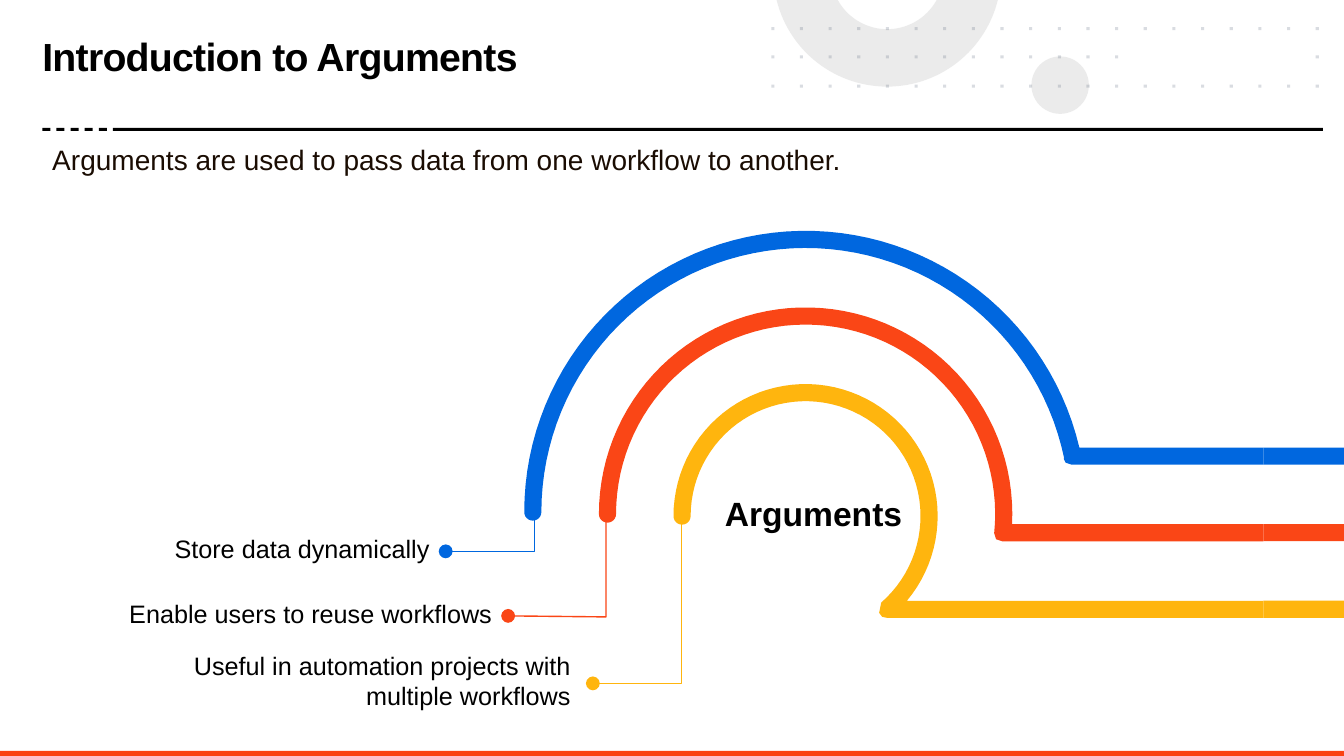
"""Build the "Introduction to Arguments" slide."""
from math import asin, atan2, cos, degrees, radians, sin

from lxml.etree import SubElement
from pptx import Presentation
from pptx.dml.color import RGBColor
from pptx.enum.shapes import MSO_SHAPE as Preset
from pptx.enum.text import PP_ALIGN as Align
from pptx.oxml.ns import qn
from pptx.util import Pt

PX = 9144
WIDTH, HEIGHT = 1333, 750
BLACK = RGBColor(0x00, 0x00, 0x00)
BROWN = RGBColor(0x1A, 0x0C, 0x02)
GRAY = RGBColor(0xD9, 0xD9, 0xD9)
SLATE = RGBColor(0x44, 0x54, 0x6A)
BLUE = RGBColor(0x00, 0x67, 0xDF)
RED = RGBColor(0xFA, 0x46, 0x16)
YELLOW = RGBColor(0xFF, 0xB5, 0x0E)
FOOTER_RED = RGBColor(0xFA, 0x42, 0x11)

presentation = Presentation()
presentation.slide_width = WIDTH * PX
presentation.slide_height = HEIGHT * PX
slide = presentation.slides.add_slide(presentation.slide_layouts[6])
shapes = slide.shapes


def arc(x, y, radius, start, end, steps=60):
    """Return points along an arc, with angles in degrees clockwise from the right."""
    angles = [radians(start + (end - start) * i / steps) for i in range(steps + 1)]
    return [(x + radius * cos(a), y + radius * sin(a)) for a in angles]


def outline(contours, closed=True):
    """Draw one freeform from lists of points in px."""
    contours = [[(round(x * PX), round(y * PX)) for x, y in points] for points in contours]
    builder = shapes.build_freeform(*contours[0][0], scale=1.0)
    for number, points in enumerate(contours):
        if number:
            builder.move_to(*points[0])
        builder.add_line_segments(points[1:], close=closed)
    shape = builder.convert_to_shape()
    shape.shadow.inherit = False
    return shape


disk = shapes.add_shape(Preset.OVAL, 1023 * PX, 56 * PX, 57 * PX, 57 * PX)
disk.shadow.inherit = False
ring_points = []
for radius, direction in [(113, 1), (56, -1)]:
    edge = degrees(asin(27 / radius))
    ring_points += arc(880, -27, radius, edge, 180 - edge)[::direction]
faded = [(disk, GRAY, 50), (outline([ring_points]), GRAY, 50)]

DOT, DOT_PITCH = 3, 28.42
for first, last in [(14, 20), (0, 6), (6, 12), (12, 14)]:
    dots = []
    for row, y in enumerate([27, 55, 84]):
        for column in range(first, last):
            if row == 1 and 13 <= column <= 18:
                continue
            x = 765 + column * DOT_PITCH
            dots.append([(x, y), (x + DOT, y), (x + DOT, y + DOT), (x, y + DOT)])
    faded.append((outline(dots), SLATE, 20))

for shape, color, opacity in faded:
    shape.fill.solid()
    shape.fill.fore_color.rgb = color
    shape.line.fill.background()
    color_element = shape.fill._xPr.find(qn("a:solidFill"))[0]
    SubElement(color_element, qn("a:alpha")).set("val", str(opacity * 1000))

leaders = [
    ([(442, 547), (530, 547), (530, 493)], BLUE),
    ([(504, 611), (601, 612), (601, 490)], RED),
    ([(588, 678), (676, 678), (676, 518)], YELLOW),
]
for points, color in leaders:
    leader = outline([points], closed=False)
    leader.fill.background()
    leader.line.color.rgb = color
    leader.line.width = Pt(1)
    head = SubElement(leader.line._get_or_add_ln(), qn("a:headEnd"))
    for key, value in [("type", "oval"), ("w", "lg"), ("len", "lg")]:
        head.set(key, value)

bars = [(112, 127, 1200, 3, BLACK), (0, 745, WIDTH, 5, FOOTER_RED)]
bars += [(42 + 14 * i, 127, 8, 3, BLACK) for i in range(5)]

CENTER_X, TRACK_END = 799, 1253
tracks = [
    (508, 279, 262, 444, 461, [(1055, 455), (1057, 459), (1063, 461)], BLUE),
    (510, 205, 188, 520, 537, [(986, 529), (988, 535), (994, 537)], RED),
    (512, 131, 114, 596, 613, [(874, 598), (872, 608), (875, 612), (880, 613)], YELLOW),
]
for center_y, outer, inner, top, bottom, corner, color in tracks:
    outer_end = degrees(asin((top - center_y) / outer))
    inner_end = degrees(atan2(corner[0][1] - center_y, corner[0][0] - CENTER_X))
    cap_x = CENTER_X - (outer + inner) / 2
    track = outline([
        arc(CENTER_X, center_y, outer, outer_end, -180)
        + arc(cap_x, center_y, (outer - inner) / 2, 180, 0, 12)
        + arc(CENTER_X, center_y, inner, -180, inner_end)
        + corner
        + [(TRACK_END, bottom), (TRACK_END, top)]
    ])
    track.fill.solid()
    track.fill.fore_color.rgb = color
    track.line.fill.background()
    bars.append((TRACK_END, top, WIDTH - TRACK_END, bottom - top, color))

for left, top, width, height, color in bars:
    bar = shapes.add_shape(Preset.RECTANGLE, left * PX, top * PX, width * PX, height * PX)
    bar.shadow.inherit = False
    bar.fill.solid()
    bar.fill.fore_color.rgb = color
    bar.line.fill.background()

NO_INSETS, BODY_INSETS, LABEL_INSETS = (0, 0, 0, 0), (10, 5, 10, 5), (13, 5, 13, 7)
texts = [
    ("Introduction to Arguments", 42, 39, 723, 75, 28, BLACK, True, Align.LEFT, NO_INSETS),
    ("Arguments are used to pass data from one workflow to another.",
     42, 136, 1267, 44, 20, BROWN, False, Align.LEFT, BODY_INSETS),
    ("Store data dynamically", 114, 524, 325, 42, 18, BLACK, False, Align.RIGHT, LABEL_INSETS),
    ("Enable users to reuse workflows",
     69, 589, 432, 42, 18, BLACK, False, Align.RIGHT, LABEL_INSETS),
    ("Useful in automation projects with multiple workflows",
     99, 640, 480, 72, 18, BLACK, False, Align.RIGHT, LABEL_INSETS),
    ("Arguments", 709, 484, 198, 50, 24, BLACK, True, Align.LEFT, BODY_INSETS),
]
for text, left, top, width, height, size, color, bold, alignment, insets in texts:
    box = shapes.add_textbox(left * PX, top * PX, width * PX, height * PX)
    frame = box.text_frame
    frame.word_wrap = text != "Arguments"
    frame.margin_left, frame.margin_top, frame.margin_right, frame.margin_bottom = (
        inset * PX for inset in insets)
    paragraph = frame.paragraphs[0]
    paragraph.text = text
    paragraph.alignment = alignment
    paragraph.font.name = "Arial"
    paragraph.font.size = Pt(size)
    paragraph.font.bold = bold
    paragraph.font.color.rgb = color
    if insets == NO_INSETS:
        paragraph.line_spacing = 0.85
        paragraph.runs[0].font._element.set("spc", "-50")

presentation.save("out.pptx")
